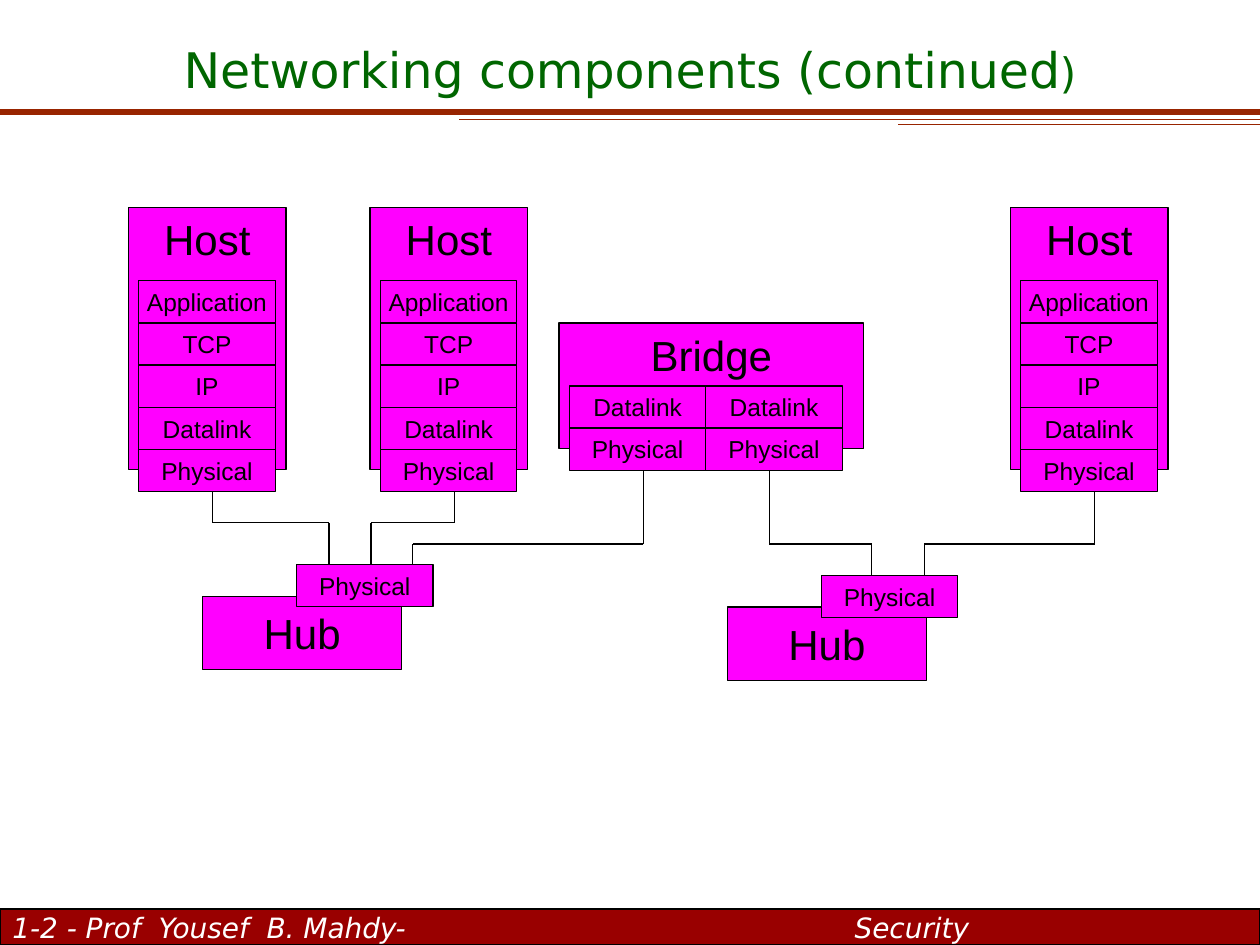
from lxml.etree import SubElement
from pptx import Presentation
from pptx.dml.color import RGBColor
from pptx.enum.shapes import MSO_CONNECTOR as Connector, MSO_SHAPE as Shape
from pptx.enum.text import MSO_ANCHOR as Anchor, PP_ALIGN as Align
from pptx.oxml.ns import qn
from pptx.util import Cm, Pt

BLACK = RGBColor(0x00, 0x00, 0x00)
WHITE = RGBColor(0xFF, 0xFF, 0xFF)
MAGENTA = RGBColor(0xFF, 0x00, 0xFF)
GREEN = RGBColor(0x00, 0x66, 0x00)
RUST = RGBColor(0x98, 0x24, 0x00)
DARK_RED = RGBColor(0x99, 0x00, 0x00)

SLIDE_W, SLIDE_H = 25.4, 19.05
LAYER_W, LAYER_H = 2.75, 0.85
MARGIN = 0.21  # gap between a device's side and its layers
HOST_LAYERS = ["Application", "TCP", "IP", "Datalink", "Physical"]
BRIDGE_LAYERS = ["Datalink", "Physical"]


def add_run(paragraph, text, size, color, font_name="Arial", italic=False):
    run = paragraph.add_run()
    run.text = text
    run.font.size = Pt(size)
    run.font.name = font_name
    run.font.italic = italic
    run.font.color.rgb = color


def add_line(slide, start, end, color=BLACK, weight=0.75):
    line = slide.shapes.add_connector(
        Connector.STRAIGHT, *(Cm(value) for value in (*start, *end)))
    line.line.color.rgb = color
    line.line.width = Pt(weight)
    SubElement(line._element.spPr, qn("a:effectLst"))


def add_rect(slide, left, top, width, height, fill, weight=0.75):
    rect = slide.shapes.add_shape(
        Shape.RECTANGLE, Cm(left), Cm(top), Cm(width), Cm(height))
    rect.shadow.inherit = False
    rect.fill.solid()
    rect.fill.fore_color.rgb = fill
    rect.line.color.rgb = BLACK
    rect.line.width = Pt(weight)
    return rect


def add_block(slide, left, top, width, height, label, size=24, anchor=Anchor.MIDDLE):
    frame = add_rect(slide, left, top, width, height, MAGENTA).text_frame
    frame.word_wrap = False
    frame.vertical_anchor = anchor
    frame.paragraphs[0].alignment = Align.CENTER
    add_run(frame.paragraphs[0], label, size, BLACK)


def add_layers(slide, left, top, names):
    for level, name in enumerate(names):
        add_block(slide, left, top + level * LAYER_H, LAYER_W, LAYER_H, name, 14)


def add_host(slide, left, top):
    """Draw a host and return the bottom of its stack."""
    add_block(slide, left, top, 3.18, 5.29, "Host", anchor=Anchor.TOP)
    stack_top = top + 1.48
    add_layers(slide, left + MARGIN, stack_top, HOST_LAYERS)
    return stack_top + len(HOST_LAYERS) * LAYER_H


def add_bridge(slide, left, top):
    """Draw the bridge and return the bottom of its stacks."""
    add_block(slide, left, top, 6.14, 2.54, "Bridge", anchor=Anchor.TOP)
    stack_top = top + 1.27
    for side in range(2):
        add_layers(slide, left + MARGIN + side * LAYER_W, stack_top, BRIDGE_LAYERS)
    return stack_top + len(BRIDGE_LAYERS) * LAYER_H


def add_hub(slide, left, top):
    """Draw a hub and return the left and top of its physical layer."""
    add_block(slide, left, top, 4.02, 1.48, "Hub")
    layer_left, layer_top = left + 1.9, top - 0.64
    add_layers(slide, layer_left, layer_top, ["Physical"])
    return layer_left, layer_top


def add_wire(slide, start, bend, end):
    """Run down from start, across at height bend, and down to end."""
    corners = [start, (start[0], bend), (end[0], bend), end]
    for here, there in zip(corners, corners[1:]):
        add_line(slide, here, there)


def add_header(slide, left, top, width):
    # Rules under the title, all ending at the right edge
    for indent, drop, weight in [(0, 1.62, 3), (9.26, 1.77, 0.75), (18.11, 1.87, 0.75)]:
        add_line(slide, (left + indent, top + drop), (left + width, top + drop),
                 RUST, weight)
    title = slide.shapes.add_textbox(Cm(left), Cm(top), Cm(width), Cm(1.47)).text_frame
    title.word_wrap = True
    title.vertical_anchor = Anchor.BOTTOM
    heading = title.paragraphs[0]
    heading.alignment = Align.CENTER
    add_run(heading, "Networking components (continued", 28, GREEN, "DejaVu Sans")
    add_run(heading, ")", 24, GREEN, "DejaVu Sans")


def add_footer(slide, left, top, width, height):
    frame = add_rect(slide, left, top, width, height, DARK_RED, 1).text_frame
    frame.word_wrap = True
    frame.vertical_anchor = Anchor.MIDDLE
    credit = frame.paragraphs[0]
    credit.alignment = Align.LEFT
    # The course name starts at a tab stop
    tabs = SubElement(credit._p.get_or_add_pPr(), qn("a:tabLst"))
    SubElement(tabs, qn("a:tab"), pos=str(Cm(16.98)), algn="l")
    for text in ["1-2 - Prof  Yousef  B. Mahdy-", "\t", "Security"]:
        add_run(credit, text, 16, WHITE, "DejaVu Sans", italic=True)


def add_network(slide, left, top):
    # Devices
    host_lefts = [left, left + 4.87, left + 17.78]
    host_bottom = [add_host(slide, host_left, top) for host_left in host_lefts][0]
    bridge_left = left + 8.68
    bridge_bottom = add_bridge(slide, bridge_left, top + 2.33)
    west_x, west_y = add_hub(slide, left + 1.49, top + 7.84)
    east_x, east_y = add_hub(slide, left + 12.07, top + 8.06)

    # Wires: ports on the devices above, then ports on the hubs
    host_ports = [(host_left + 1.7, host_bottom) for host_left in host_lefts]
    bridge_ports = [(bridge_left + offset, bridge_bottom) for offset in (1.7, 4.24)]
    west_ports = [(west_x + offset, west_y) for offset in (0.65, 1.5, 2.34)]
    east_ports = [(east_x + offset, east_y) for offset in (1.01, 2.07)]
    high_bend, low_bend = top + 6.36, top + 6.79
    add_wire(slide, host_ports[0], high_bend, west_ports[0])
    add_wire(slide, host_ports[1], high_bend, west_ports[1])
    add_wire(slide, bridge_ports[0], low_bend, west_ports[2])
    add_wire(slide, bridge_ports[1], low_bend, east_ports[0])
    add_wire(slide, host_ports[2], low_bend, east_ports[1])


def main():
    deck = Presentation()
    deck.slide_width, deck.slide_height = Cm(SLIDE_W), Cm(SLIDE_H)
    slide = deck.slides.add_slide(deck.slide_layouts[6])
    add_header(slide, 0, 0.64, SLIDE_W)
    add_footer(slide, 0, 18.33, SLIDE_W, 0.72)
    add_network(slide, 2.59, 4.18)
    deck.save("out.pptx")


if __name__ == "__main__":
    main()
